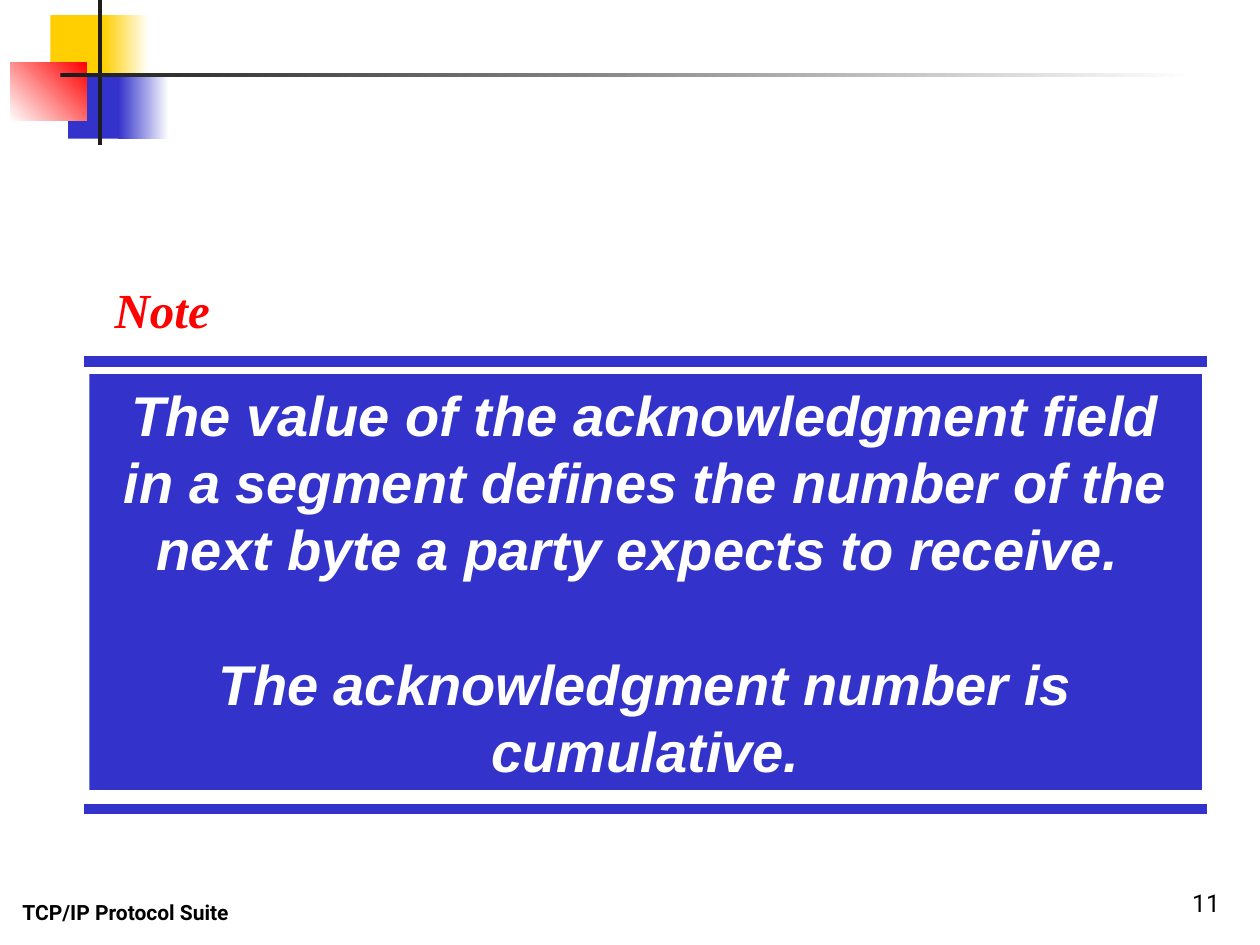
"""Build the slide with the note on the acknowledgment number."""
from pptx import Presentation
from pptx.dml.color import RGBColor
from pptx.enum.shapes import MSO_CONNECTOR, MSO_SHAPE
from pptx.enum.text import MSO_ANCHOR, MSO_AUTO_SIZE, PP_ALIGN
from pptx.oxml.ns import qn
from pptx.util import Inches, Pt
from lxml import etree

RECTANGLE, STRAIGHT = MSO_SHAPE.RECTANGLE, MSO_CONNECTOR.STRAIGHT
TOP, BOTTOM = MSO_ANCHOR.TOP, MSO_ANCHOR.BOTTOM
LEFT, CENTER, RIGHT = PP_ALIGN.LEFT, PP_ALIGN.CENTER, PP_ALIGN.RIGHT
NO_AUTOFIT = MSO_AUTO_SIZE.NONE

WIDTH, HEIGHT = 10, 7.5
YELLOW, BLUE, RED, DARK, WHITE, BLACK = (
    "FFCF01", "3333CC", "FF0000", "1C1C1C", "FFFFFF", "000000")
LINE_PITCH = 38.4

ORNAMENT = [
    ((0.4, 0.12, 0.48, 0.52), [YELLOW], 0),
    ((0.82, 0.12, 0.36, 0.52), [YELLOW, WHITE], 0),
    ((0.54, 0.58, 0.46, 0.52), [BLUE], 0),
    ((0.94, 0.58, 0.4, 0.52), [BLUE, WHITE], 0),
    ((0.08, 0.5, 0.61, 0.46), [WHITE, RED], 45),
    ((0.78, 0, 0.03, 1.15), [DARK], 0),
    ((0.48, 0.58, 9, 0.03), [DARK, WHITE], 0),
]
RULE_LEFT, RULE_RIGHT, RULE_ROWS = 0.67, 9.58, (2.87, 6.42)
PANEL_BOX = (0.71, 2.97, 8.83, 3.3)
STATEMENTS = [
    "The value of the acknowledgment field in a segment defines the number "
    "of the next byte a party expects to receive. ",
    "The acknowledgment number is cumulative.",
]
STATEMENT_FONT = {"name": "Arial", "size": Pt(32), "bold": True, "italic": True}
NOTE_BOX = (0.81, 2.17, 0.96, 0.57)
NOTE_FONT = {"name": "Times New Roman", "size": Pt(28), "bold": True, "italic": True}
FOOTERS = [
    ("TCP/IP Protocol Suite", (0.08, 6.89, 3.17, 0.5), LEFT,
     {"name": "Roboto", "size": Pt(12), "bold": True}),
    ("11", (7.7, 6.83, 2.08, 0.5), RIGHT, {"name": "Roboto", "size": Pt(14)}),
]


def color(value):
    return RGBColor.from_string(value)


def inches(box):
    return [Inches(length) for length in box]


def add_rectangle(slide, box, colors, angle=0):
    shape = slide.shapes.add_shape(RECTANGLE, *inches(box))
    shape.shadow.inherit = False
    shape.line.fill.background()
    if len(colors) == 1:
        shape.fill.solid()
        shape.fill.fore_color.rgb = color(colors[0])
    else:
        shape.fill.gradient()
        shape.fill.gradient_angle = angle
        for stop, value in zip(shape.fill.gradient_stops, colors):
            stop.color.rgb = color(value)
    return shape


def add_rule(slide, row):
    ends = inches((RULE_LEFT, row, RULE_RIGHT, row))
    rule = slide.shapes.add_connector(STRAIGHT, *ends)
    rule.line.color.rgb = color(BLUE)
    rule.line.width = Pt(6)
    etree.SubElement(rule._element.spPr, qn("a:effectLst"))


def write(shape, texts, font, font_color, alignment=LEFT, anchor=TOP,
          wrap=True, pitch=None):
    frame = shape.text_frame
    frame.auto_size = NO_AUTOFIT
    frame.word_wrap = wrap
    frame.vertical_anchor = anchor
    for index, text in enumerate(texts):
        paragraph = frame.add_paragraph() if index else frame.paragraphs[0]
        paragraph.alignment = alignment
        if pitch:
            paragraph.line_spacing = Pt(pitch)
            paragraph.space_before = Pt(pitch if index else 0)
        run = paragraph.add_run()
        run.text = text
        for name, value in font.items():
            setattr(run.font, name, value)
        run.font.color.rgb = color(font_color)


def main():
    presentation = Presentation()
    presentation.slide_width, presentation.slide_height = inches((WIDTH, HEIGHT))
    slide = presentation.slides.add_slide(presentation.slide_layouts[5])

    for text, box, alignment, font in FOOTERS:
        footer = slide.shapes.add_textbox(*inches(box))
        write(footer, [text], font, BLACK, alignment, BOTTOM)
    for box, colors, angle in ORNAMENT:
        add_rectangle(slide, box, colors, angle)
    for row in RULE_ROWS:
        add_rule(slide, row)

    panel = add_rectangle(slide, PANEL_BOX, [BLUE])
    write(panel, STATEMENTS, STATEMENT_FONT, WHITE, CENTER, pitch=LINE_PITCH)

    title = slide.shapes.title
    title.left, title.top, title.width, title.height = inches(NOTE_BOX)
    write(title, ["Note"], NOTE_FONT, RED, wrap=False)
    presentation.save("out.pptx")


if __name__ == "__main__":
    main()
